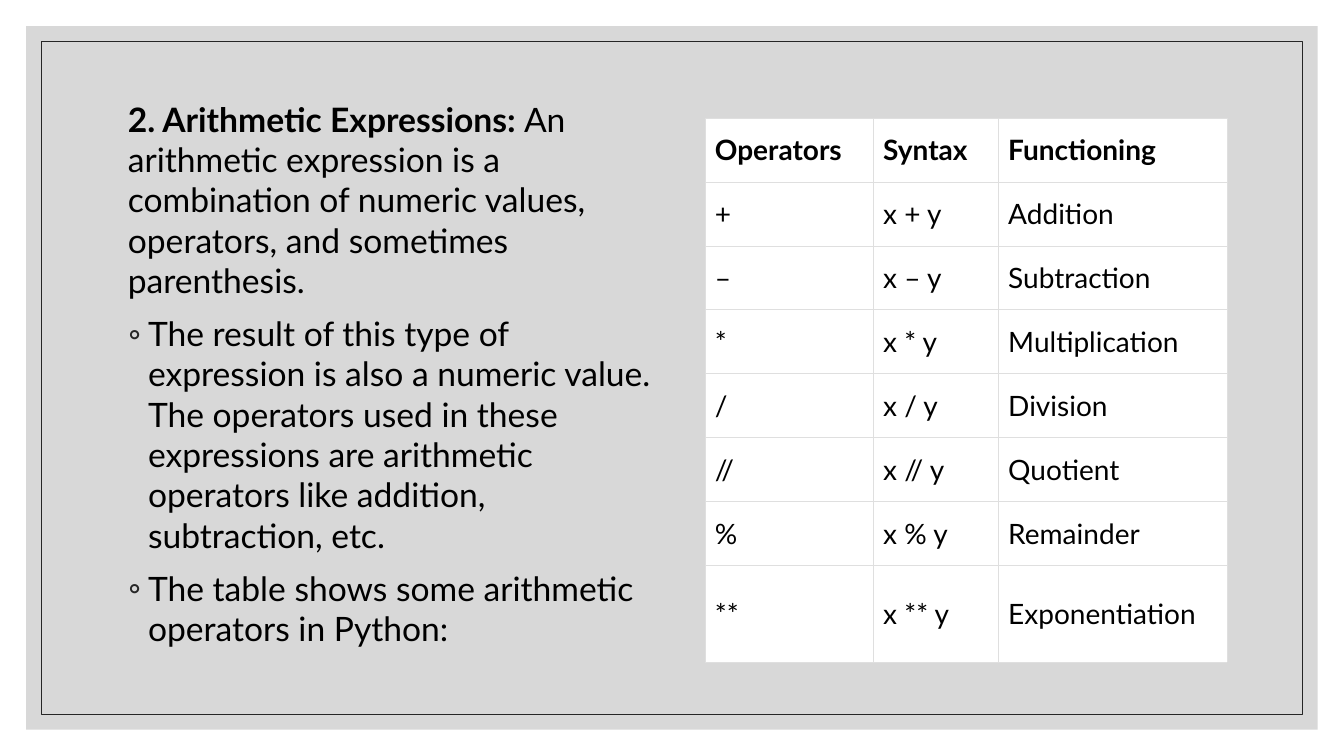
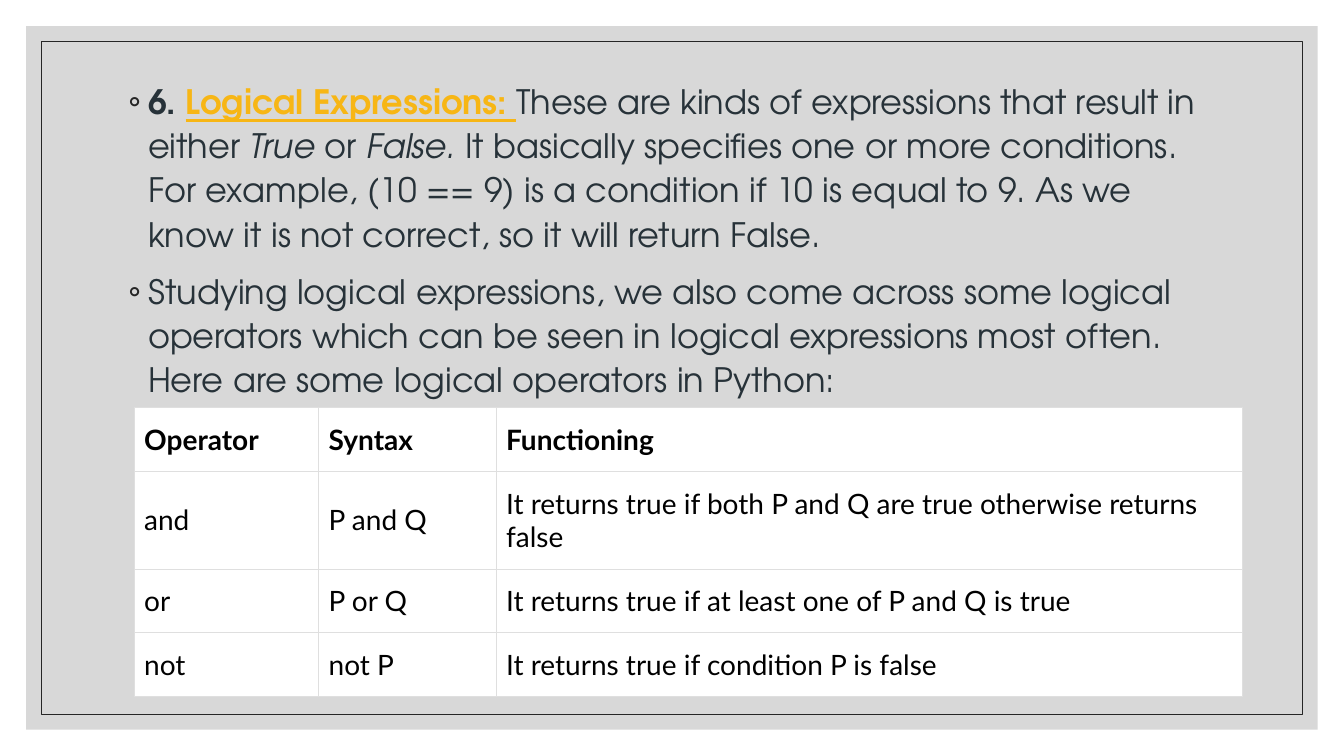
from lxml import etree
from pptx import Presentation
from pptx.dml.color import RGBColor
from pptx.enum.shapes import MSO_SHAPE
from pptx.enum.text import MSO_ANCHOR
from pptx.oxml.ns import qn
from pptx.util import Inches, Pt

RECTANGLE = MSO_SHAPE.RECTANGLE
MIDDLE = MSO_ANCHOR.MIDDLE

BLACK = RGBColor(0x00, 0x00, 0x00)
WHITE = RGBColor(0xFF, 0xFF, 0xFF)
PANEL = RGBColor(0xBF, 0xBF, 0xBF)
CHARCOAL = RGBColor(0x26, 0x26, 0x26)
SLATE = RGBColor(0x27, 0x32, 0x39)
GOLD = RGBColor(0xF7, 0xB6, 0x15)
GRID = RGBColor(0xDF, 0xDF, 0xDF)

PAGE_WIDTH, PAGE_HEIGHT = 13.33, 7.5
BLANK_LAYOUT = 6
CELL_MARGINS = {"margin_left": 0.1, "margin_right": 0.1,
                "margin_top": 0.15, "margin_bottom": 0.15}

LATO = {"name": "Lato", "size": Pt(24), "color": BLACK}
ADVENTOR = {"name": "TeX Gyre Adventor", "size": Pt(24), "color": SLATE}
CELL = {"name": "Lato", "size": Pt(20), "color": BLACK}
BOLD = {"bold": True}
ITALIC = {"italic": True}
HIGHLIGHT = {"bold": True, "underline": True, "color": GOLD}


def format_font(font, values):
    for name, value in values.items():
        if name == "color":
            font.color.rgb = value
        else:
            setattr(font, name, value)


def add_color(parent, color):
    return etree.SubElement(parent, qn("a:srgbClr"), val=str(color))


class Deck:
    """Holds the presentation, its shared style and the current page."""

    def __init__(self):
        self.file = Presentation()
        self.file.slide_width = Inches(PAGE_WIDTH)
        self.file.slide_height = Inches(PAGE_HEIGHT)
        self.page = None

    def add_page(self):
        self.page = self.file.slides.add_slide(self.file.slide_layouts[BLANK_LAYOUT])
        panel = self.add_frame(0.26)
        panel.fill.solid()
        panel.fill.fore_color.rgb = PANEL
        panel.line.fill.background()
        color = panel.element.xpath(".//a:srgbClr")[0]
        etree.SubElement(color, qn("a:alpha"), val="60000")
        border = self.add_frame(0.41)
        border.fill.background()
        border.line.color.rgb = CHARCOAL
        border.line.width = Pt(0.5)

    def add_frame(self, inset):
        """Add a rectangle at an equal distance from all page edges."""
        frame = self.page.shapes.add_shape(
            RECTANGLE, Inches(inset), Inches(inset),
            Inches(PAGE_WIDTH - 2 * inset), Inches(PAGE_HEIGHT - 2 * inset))
        frame.shadow.inherit = False
        return frame

    def add_text(self, place, paragraphs, style, line_spacing=1.0):
        """Add paragraphs, each a pair of a bullet flag and (text, format) spans."""
        box = self.page.shapes.add_textbox(*map(Inches, place))
        frame = box.text_frame
        frame.word_wrap = True
        for index, (bulleted, spans) in enumerate(paragraphs):
            para = frame.paragraphs[0] if index == 0 else frame.add_paragraph()
            if bulleted:
                self.add_bullet(para)
            para.line_spacing = line_spacing
            if index:
                para.space_before = Pt(9)
            for text, changes in spans:
                span = para.add_run()
                span.text = text
                format_font(span.font, style | changes)

    def add_bullet(self, para):
        properties = para._p.get_or_add_pPr()
        properties.set("marL", str(Inches(0.2)))
        properties.set("indent", str(Inches(-0.2)))
        add_color(etree.SubElement(properties, qn("a:buClr")), CHARCOAL)
        etree.SubElement(properties, qn("a:buFont"), typeface="Lato")
        etree.SubElement(properties, qn("a:buChar"), char="◦")

    def add_table(self, left, top, widths, heights, rows):
        table = self.page.shapes.add_table(
            len(rows), len(widths), Inches(left), Inches(top),
            Inches(sum(widths)), Inches(sum(heights))).table
        table.first_row = table.horz_banding = False
        for column, width in zip(table.columns, widths):
            column.width = Inches(width)
        for row, height in zip(table.rows, heights):
            row.height = Inches(height)
        for row_index, texts in enumerate(rows):
            for column_index, text in enumerate(texts):
                self.fill_cell(table.cell(row_index, column_index), text,
                               CELL | {"bold": row_index == 0})

    def fill_cell(self, cell, text, style):
        for name, margin in CELL_MARGINS.items():
            setattr(cell, name, Inches(margin))
        cell.vertical_anchor = MIDDLE
        properties = cell._tc.get_or_add_tcPr()
        for side in ("a:lnL", "a:lnR", "a:lnT", "a:lnB"):
            edge = etree.SubElement(properties, qn(side), w=str(Pt(0.25)))
            add_color(etree.SubElement(edge, qn("a:solidFill")), GRID)
        cell.fill.solid()
        cell.fill.fore_color.rgb = WHITE
        span = cell.text_frame.paragraphs[0].add_run()
        span.text = text
        format_font(span.font, style)


def add_arithmetic_page(deck):
    deck.add_page()
    deck.add_text((1.17, 0.93, 5.5, 5.58), [
        (False, [
            ("2. Arithmetic Expressions: ", BOLD),
            ("An arithmetic expression is a combination of numeric values, "
             "operators, and sometimes parenthesis.", {})]),
        (True, [
            ("The result of this type of expression is also a numeric value. "
             "The operators used in these expressions are arithmetic operators "
             "like addition, subtraction, etc.", {})]),
        (True, [("The table shows some arithmetic operators in Python:", {})]),
    ], LATO)
    operations = [("+", "Addition"), ("–", "Subtraction"), ("*", "Multiplication"),
                  ("/", "Division"), ("//", "Quotient"), ("%", "Remainder"),
                  ("**", "Exponentiation")]
    rows = [("Operators", "Syntax", "Functioning")]
    rows += [(sign, f"x {sign} y", meaning) for sign, meaning in operations]
    deck.add_table(6.99, 1.17, (1.67, 1.24, 2.27), [0.63] * 7 + [0.96], rows)


def add_logical_page(deck):
    deck.add_page()
    deck.add_text((1.17, 0.71, 11, 6.16), [
        (True, [
            ("6. ", BOLD),
            ("Logical Expressions: ", HIGHLIGHT),
            ("These are kinds of expressions that result in either ", {}),
            ("True ", ITALIC),
            ("or ", {}),
            ("False. ", ITALIC),
            ("It basically specifies one or more conditions. For example, "
             "(10 == 9) is a condition if 10 is equal to 9. As we know it is "
             "not correct, so it will return False.", {})]),
        (True, [
            ("Studying logical expressions, we also come across some logical "
             "operators which can be seen in logical expressions most often. "
             "Here are some logical operators in Python:", {})]),
    ], ADVENTOR, line_spacing=1.1)
    deck.add_table(1.33, 4.04, (1.83, 1.76, 7.4), (0.63, 0.96, 0.63, 0.63), [
        ("Operator", "Syntax", "Functioning"),
        ("and", "P and Q",
         "It returns true if both P and Q are true otherwise returns false"),
        ("or", "P or Q", "It returns true if at least one of P and Q is true"),
        ("not", "not P", "It returns true if condition P is false"),
    ])


def main():
    deck = Deck()
    add_arithmetic_page(deck)
    add_logical_page(deck)
    deck.file.save("out.pptx")


if __name__ == "__main__":
    main()
